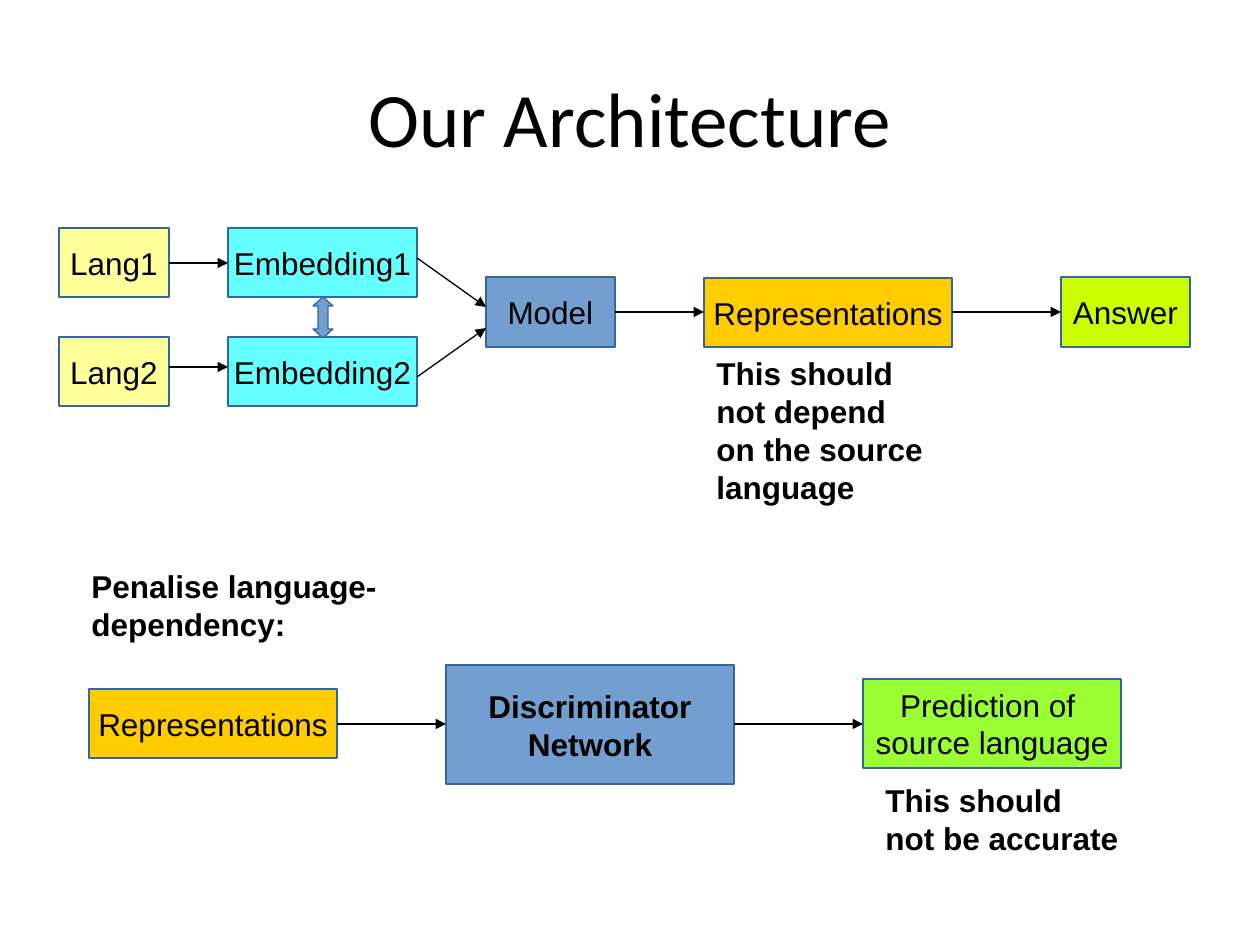
from lxml import etree
from pptx import Presentation
from pptx import util as u
from pptx.dml.color import RGBColor
from pptx.enum import shapes, text
from pptx.oxml.ns import qn

HUES = {
    "ink": "000000", "edge": "3465A4", "blue": "729FCF", "yellow": "FFFF99",
    "cyan": "66FFFF", "gold": "FFCC00", "lime": "CCFF00", "green": "99FF33",
}
BODY = {"name": "Arial", "size": u.Pt(18), "bold": False}
BOLD = {**BODY, "bold": True}
HEAD = {"name": "Calibri", "size": u.Pt(44), "bold": False}
BOX = {"word_wrap": False, "vertical_anchor": text.MSO_ANCHOR.MIDDLE}
NOTE = {"word_wrap": True, "vertical_anchor": text.MSO_ANCHOR.TOP}
MID, LEFT = text.PP_ALIGN.CENTER, text.PP_ALIGN.LEFT
BENT, LINE = shapes.MSO_CONNECTOR.ELBOW, shapes.MSO_CONNECTOR.STRAIGHT
SCALE = 914400 / 126


def px(*nums):
    """Turn pixels into EMU."""
    return [u.Emu(round(n * SCALE)) for n in nums]


def hue(name):
    """Return a named colour."""
    return RGBColor.from_string(HUES[name])


def apply(item, form):
    """Set each format value on an item."""
    for key, val in form.items():
        setattr(item, key, val)


def write(frame, words, font, form, align):
    """Fill a text frame, one paragraph per line."""
    apply(frame, form)
    frame.text = words
    for para in frame.paragraphs:
        para.alignment = align
        apply(para.font, font)
        para.font.color.rgb = hue("ink")


def stroke(line, name):
    """Give a line its colour and width."""
    line.color.rgb = hue(name)
    line.width = u.Pt(0.75)


def paint(shape, fill):
    """Give a shape its fill and edge without shadow."""
    shape.shadow.inherit = False
    shape.fill.solid()
    shape.fill.fore_color.rgb = hue(fill)
    stroke(shape.line, "edge")


def title(slide, words):
    """Place the slide title."""
    head = slide.shapes.title
    apply(head, dict(zip(("left", "top", "width", "height"), px(63, 38, 1134, 158))))
    write(head.text_frame, words, HEAD, {**BOX, "word_wrap": True}, MID)


def box(slide, words, fill, area, font=BODY):
    """Add a labelled rectangle."""
    shape = slide.shapes.add_shape(shapes.MSO_SHAPE.RECTANGLE, *px(*area))
    paint(shape, fill)
    write(shape.text_frame, words, font, BOX, MID)


def note(slide, words, area):
    """Add a bold remark."""
    shape = slide.shapes.add_textbox(*px(*area))
    write(shape.text_frame, words, BOLD, NOTE, LEFT)


def arrow(slide, kind, ends):
    """Add a connector with an arrowhead at its end."""
    link = slide.shapes.add_connector(kind, *px(*ends))
    stroke(link.line, "ink")
    etree.SubElement(link.line._get_or_add_ln(), qn("a:tailEnd"), type="triangle")
    etree.SubElement(link._element.spPr, qn("a:effectLst"))


def swap(slide, mid, top, base):
    """Add an upright double arrow."""
    half = [(0, top), (10, top + 9), (5, top + 9), (5, base - 9), (10, base - 9), (0, base)]
    side = [(mid + x, y) for x, y in half]
    back = [(mid - x, y) for x, y in half[-2:0:-1]]
    form = slide.shapes.build_freeform(*side[0], scale=SCALE)
    form.add_line_segments(side[1:] + back, close=True)
    paint(form.convert_to_shape(), "blue")


def main():
    """Build the slide."""
    deck = Presentation()
    deck.slide_width, deck.slide_height = px(1260, 945)
    slide = deck.slides.add_slide(deck.slide_layouts[5])
    title(slide, "Our Architecture")

    for num, top in ((1, 228), (2, 337)):
        box(slide, f"Lang{num}", "yellow", (59, top, 110, 69))
        box(slide, f"Embedding{num}", "cyan", (228, top, 189, 69))
    swap(slide, 323, 297, 338)
    box(slide, "Model", "blue", (486, 277, 129, 70))
    box(slide, "Representations", "gold", (704, 278, 248, 69))
    box(slide, "Answer", "lime", (1061, 277, 129, 70))
    note(slide, "This should not depend on the source language", (704, 348, 238, 154))

    note(slide, "Penalise language-dependency:", (79, 561, 504, 48))
    box(slide, "Representations", "gold", (89, 689, 248, 69))
    box(slide, "Discriminator\nNetwork", "blue", (446, 665, 288, 119), BOLD)
    box(slide, "Prediction of \nsource language", "green", (863, 679, 258, 89))
    note(slide, "This should not be accurate", (873, 775, 259, 83))

    for ends in ((169, 263, 228, 263), (169, 367, 228, 367),
                 (417, 258, 486, 307), (417, 377, 486, 328)):
        arrow(slide, LINE, ends)
    for start, end, y in ((615, 704, 312), (952, 1061, 312),
                          (337, 446, 724), (734, 863, 724)):
        arrow(slide, BENT, (start, y, end, y))
    deck.save("out.pptx")


if __name__ == "__main__":
    main()
